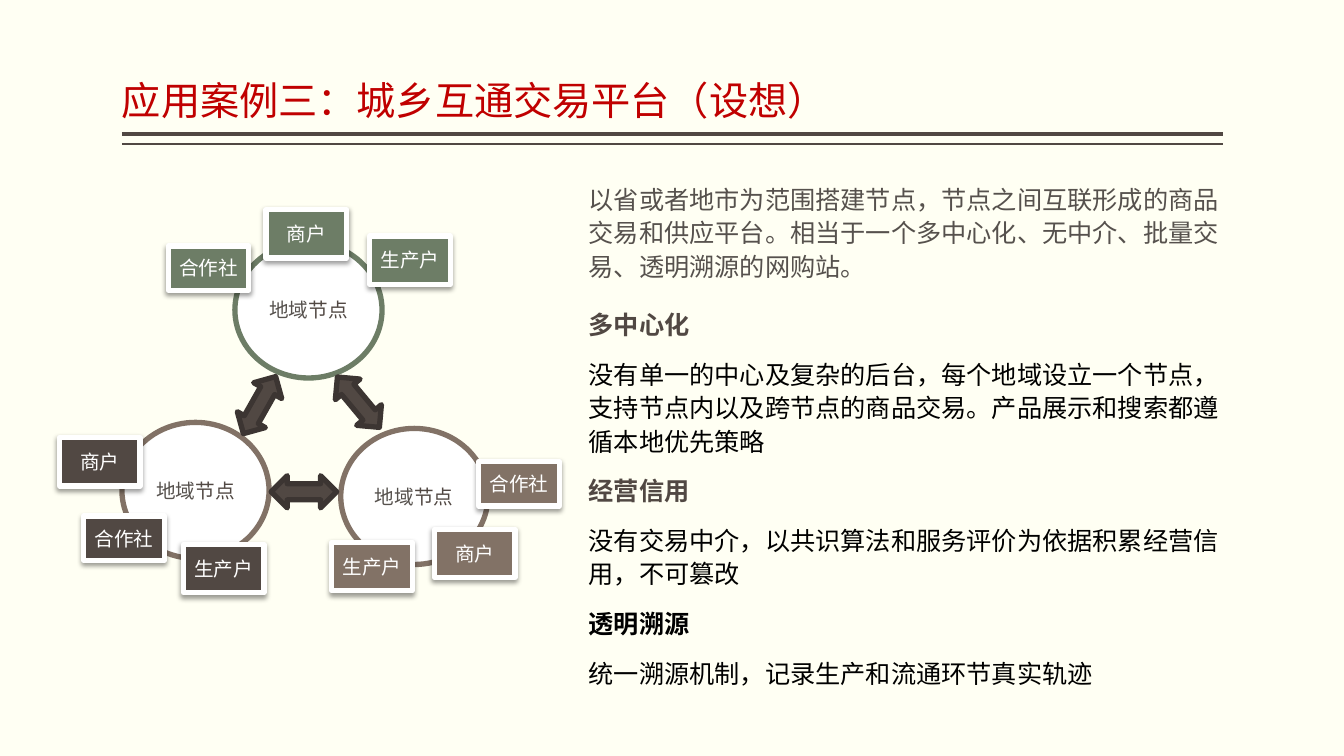
from lxml import etree
from pptx import Presentation
from pptx.dml.color import RGBColor
from pptx.enum.shapes import MSO_CONNECTOR, MSO_SHAPE
from pptx.enum.text import MSO_ANCHOR, PP_ALIGN
from pptx.oxml.ns import qn
from pptx.util import Pt

OVAL, RECT, ARROW = MSO_SHAPE.OVAL, MSO_SHAPE.RECTANGLE, MSO_SHAPE.LEFT_RIGHT_ARROW
STRAIGHT = MSO_CONNECTOR.STRAIGHT
TOP, MIDDLE, BOTTOM = MSO_ANCHOR.TOP, MSO_ANCHOR.MIDDLE, MSO_ANCHOR.BOTTOM
LEFT, CENTER = PP_ALIGN.LEFT, PP_ALIGN.CENTER

COLORS = {
    "paper": "FFFFF3", "red": "C00000", "dark": "514843", "gray": "56514D",
    "black": "000000", "white": "FFFFFF", "green": "6D7D66",
    "brown": "827266", "outline": "3C3532",
}
BODY = [
    ("以省或者地市为范围搭建节点，节点之间互联形成的商品交易和供应平台。相当于一个多中心化、无中介、批量交易、透明溯源的网购站。",
     "gray", False, 1.1, 18),
    ("多中心化", "dark", True, 1.1, 18),
    ("没有单一的中心及复杂的后台，每个地域设立一个节点，支持节点内以及跨节点的商品交易。产品展示和搜索都遵循本地优先策略",
     "black", False, 1.1, 12),
    ("经营信用", "dark", True, 0.8, 18),
    ("没有交易中介，以共识算法和服务评价为依据积累经营信用，不可篡改", "black", False, 1.1, 12),
    ("透明溯源", "black", True, 1.1, 12),
    ("统一溯源机制，记录生产和流通环节真实轨迹", "black", False, 1.1, 12),
]
MEMBERS = [("商户", 34.6), ("合作社", 31.7), ("生产户", 34.6)]
REGIONS = [
    (87.1, 301.7, "brown", "dark", [(42.5, 312.5), (59.8, 368.6), (131, 388.8)]),
    (243.4, 306, "brown", "brown", [(310.3, 378), (342, 329.8), (236.9, 387.4)]),
    (167.8, 172.8, "green", "green", [(190.1, 149.8), (120.2, 175.7), (264.2, 168.5)]),
]
LINKS = [(162, 277.9, 299.5), (232.6, 275.8, 50.2), (193.7, 339.8, 0)]


class SlideBuilder:
    """Draws styled elements on one slide, with lengths in points."""

    def __init__(self, slide, font):
        self.slide = slide
        self.font = font
        slide.background.fill.solid()
        slide.background.fill.fore_color.rgb = self.color("paper")

    def color(self, name):
        return RGBColor.from_string(COLORS[name])

    def style(self, paragraph, size, color, bold=False, align=LEFT):
        paragraph.alignment = align
        font = paragraph.font
        font.size, font.bold, font.name = Pt(size), bold, self.font
        font.color.rgb = self.color(color)
        defaults = paragraph._p.pPr.find(qn("a:defRPr"))
        etree.SubElement(defaults, qn("a:ea"), typeface=self.font)

    def rule(self, x1, x2, y, width):
        line = self.slide.shapes.add_connector(STRAIGHT, Pt(x1), Pt(y), Pt(x2), Pt(y))
        line.line.color.rgb = self.color("dark")
        line.line.width = Pt(width)
        etree.SubElement(line._element.spPr, qn("a:effectLst"))

    def text(self, x, y, w, h, paragraphs, size, anchor=TOP):
        frame = self.slide.shapes.add_textbox(Pt(x), Pt(y), Pt(w), Pt(h)).text_frame
        frame.word_wrap = True
        frame.vertical_anchor = anchor
        frame.margin_left = frame.margin_right = 0
        for i, (words, color, bold, spacing, before) in enumerate(paragraphs):
            paragraph = frame.add_paragraph() if i else frame.paragraphs[0]
            paragraph.text = words
            paragraph.line_spacing = spacing
            paragraph.space_before = Pt(before)
            self.style(paragraph, size, color, bold)

    def shape(self, kind, x, y, w, h, fill, line, width=3.8):
        shape = self.slide.shapes.add_shape(kind, Pt(x), Pt(y), Pt(w), Pt(h))
        shape.shadow.inherit = False
        shape.fill.solid()
        shape.fill.fore_color.rgb = self.color(fill)
        shape.line.color.rgb = self.color(line)
        shape.line.width = Pt(width)
        shape.text_frame.vertical_anchor = MIDDLE
        return shape

    def node(self, x, y, line):
        paragraph = self.shape(OVAL, x, y, 105.1, 97.2, "white", line).text_frame.paragraphs[0]
        self.style(paragraph, 14, "gray", align=CENTER)
        for words, color in (("地域", "gray"), ("节点", "dark")):
            run = paragraph.add_run()
            run.text = words
            run.font.color.rgb = self.color(color)

    def member(self, x, y, h, words, fill):
        tag = self.shape(RECT, x, y, 57.6, h, fill, "white")
        paragraph = tag.text_frame.paragraphs[0]
        paragraph.text = words
        self.style(paragraph, 14, "white", align=CENTER)
        effects = tag._element.spPr.find(qn("a:effectLst"))
        shadow = etree.SubElement(effects, qn("a:outerShdw"), blurRad=str(Pt(3.5)),
                                  dist=str(Pt(2)), dir="5400000", rotWithShape="0")
        shade = etree.SubElement(shadow, qn("a:srgbClr"), val=COLORS["black"])
        etree.SubElement(shade, qn("a:alpha"), val="38000")

    def link(self, x, y, angle):
        self.shape(ARROW, x, y, 46.8, 23, "dark", "outline").rotation = angle


def main():
    deck = Presentation()
    deck.slide_width, deck.slide_height = Pt(960), Pt(540)
    page = SlideBuilder(deck.slides.add_slide(deck.slide_layouts[6]), "Noto Sans CJK SC")

    page.rule(87.1, 873.4, 95.8, 3)
    page.rule(87.1, 873.4, 103, 1)
    title = "应用案例三：城乡互通交易平台（设想）"
    page.text(87.1, 5.8, 786.3, 86.4, [(title, "red", False, 0.9, 0)], 28, BOTTOM)
    page.text(420.5, 126, 452.2, 387.4, BODY, 18)

    for x, y, line, _, _ in REGIONS:
        page.node(x, y, line)
    for _, _, _, fill, places in REGIONS:
        for (words, height), (x, y) in zip(MEMBERS, places):
            page.member(x, y, height, words, fill)
    for x, y, angle in LINKS:
        page.link(x, y, angle)

    deck.save("out.pptx")


if __name__ == "__main__":
    main()
